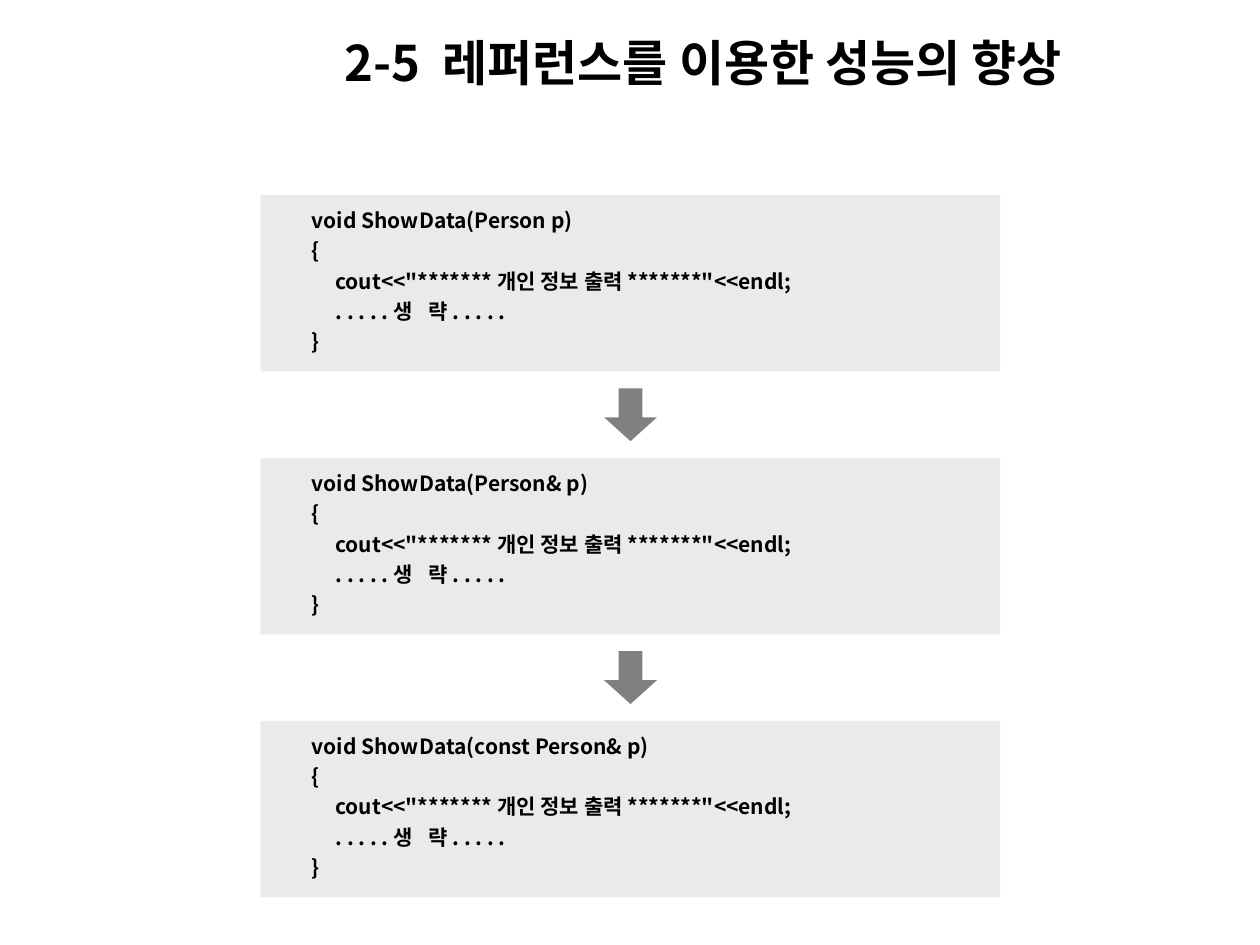
import dataclasses

import pptx
import pptx.dml.color
import pptx.enum.shapes
import pptx.enum.text
import pptx.oxml.ns
import pptx.util
from lxml import etree

Pt = pptx.util.Pt
SHAPES = pptx.enum.shapes.MSO_SHAPE
FONT = "Noto Sans CJK KR"
PANEL_LEFT, PANEL_TOP, PANEL_WIDTH, PANEL_HEIGHT = 149, 111.5, 422.6, 100.8
PANEL_PITCH = 150.2
ARROW_SIZE = 30.2
OUTER_INDENT, INNER_INDENT = 5.4, 18.9
OMISSION_TAB = 92.4


@dataclasses.dataclass(frozen=True)
class CodeLine:
    """One line of code with its first-line indent."""
    text: str
    indent: float
    tab: float | None = None


BODY = (
    CodeLine("{", OUTER_INDENT),
    CodeLine('cout<<"******* 개인 정보 출력 *******"<<endl;', INNER_INDENT),
    CodeLine(". . . . . 생\t략 . . . . .", INNER_INDENT, OMISSION_TAB),
    CodeLine("}", OUTER_INDENT),
)
PARAMETERS = ("Person p", "Person& p", "const Person& p")


def color(value: str) -> pptx.dml.color.RGBColor:
    """Turn a hex string into a colour."""
    return pptx.dml.color.RGBColor.from_string(value)


def add_span(para, text: str, size: float) -> None:
    """Add a bold black run in the slide font."""
    span = para.add_run()
    span.text = text
    span.font.size = Pt(size)
    span.font.bold = True
    span.font.color.rgb = color("000000")
    span.font.name = FONT
    east_asian = etree.SubElement(span.font._element, pptx.oxml.ns.qn("a:ea"))
    east_asian.set("typeface", FONT)


def add_figure(page, kind, left: float, top: float, width: float,
               height: float, fill: str):
    """Add a flat filled shape without outline."""
    shape = page.shapes.add_shape(kind, Pt(left), Pt(top), Pt(width), Pt(height))
    shape.shadow.inherit = False
    shape.fill.solid()
    shape.fill.fore_color.rgb = color(fill)
    shape.line.fill.background()
    return shape


def set_frame(frame, left: float, top: float, right: float, bottom: float) -> None:
    """Set the insets, wrapping and middle anchor of a text frame."""
    frame.margin_left, frame.margin_top = Pt(left), Pt(top)
    frame.margin_right, frame.margin_bottom = Pt(right), Pt(bottom)
    frame.word_wrap = True
    frame.vertical_anchor = pptx.enum.text.MSO_ANCHOR.MIDDLE


def add_code_line(para, line: CodeLine) -> None:
    """Fill a paragraph with one indented line of code."""
    para.alignment = pptx.enum.text.PP_ALIGN.LEFT
    para.line_spacing = 1.2
    properties = para._p.get_or_add_pPr()
    properties.set("marL", "0")
    properties.set("indent", str(Pt(line.indent)))
    if line.tab is not None:
        tabs = etree.SubElement(properties, pptx.oxml.ns.qn("a:tabLst"))
        etree.SubElement(tabs, pptx.oxml.ns.qn("a:tab"),
                         pos=str(Pt(line.tab)), algn="l")
    add_span(para, line.text, 12)


def add_code_panel(page, top: float, parameter: str) -> None:
    """Add a grey panel with one version of the function."""
    panel = add_figure(page, SHAPES.RECTANGLE, PANEL_LEFT, top,
                       PANEL_WIDTH, PANEL_HEIGHT, "EAEAEA")
    frame = panel.text_frame
    set_frame(frame, 23.8, 9.4, 7.2, 15.1)
    lines = (CodeLine(f"void ShowData({parameter})", OUTER_INDENT), *BODY)
    for index, line in enumerate(lines):
        para = frame.add_paragraph() if index else frame.paragraphs[0]
        add_code_line(para, line)


def add_step_arrow(page, panel_top: float) -> None:
    """Add an arrow centred in the gap below a panel."""
    left = PANEL_LEFT + (PANEL_WIDTH - ARROW_SIZE) / 2
    gap = PANEL_PITCH - PANEL_HEIGHT
    top = panel_top + PANEL_HEIGHT + (gap - ARROW_SIZE) / 2
    arrow = add_figure(page, SHAPES.DOWN_ARROW, left, top,
                       ARROW_SIZE, ARROW_SIZE, "808080")
    arrow.adjustments[0] = arrow.adjustments[1] = 0.45


def add_title(page, text: str) -> None:
    """Add the slide heading."""
    box = page.shapes.add_textbox(Pt(190), Pt(15), Pt(476), Pt(41))
    set_frame(box.text_frame, 7.2, 3.6, 7.2, 3.6)
    add_span(box.text_frame.paragraphs[0], text, 28)


def main() -> None:
    """Build and save the deck."""
    deck = pptx.Presentation()
    deck.slide_width, deck.slide_height = Pt(720), Pt(540)
    page = deck.slides.add_slide(deck.slide_layouts[6])
    add_title(page, "2-5  레퍼런스를 이용한 성능의 향상")
    for index, parameter in enumerate(PARAMETERS):
        top = PANEL_TOP + index * PANEL_PITCH
        add_code_panel(page, top, parameter)
        if index < len(PARAMETERS) - 1:
            add_step_arrow(page, top)
    deck.save("out.pptx")


main()
